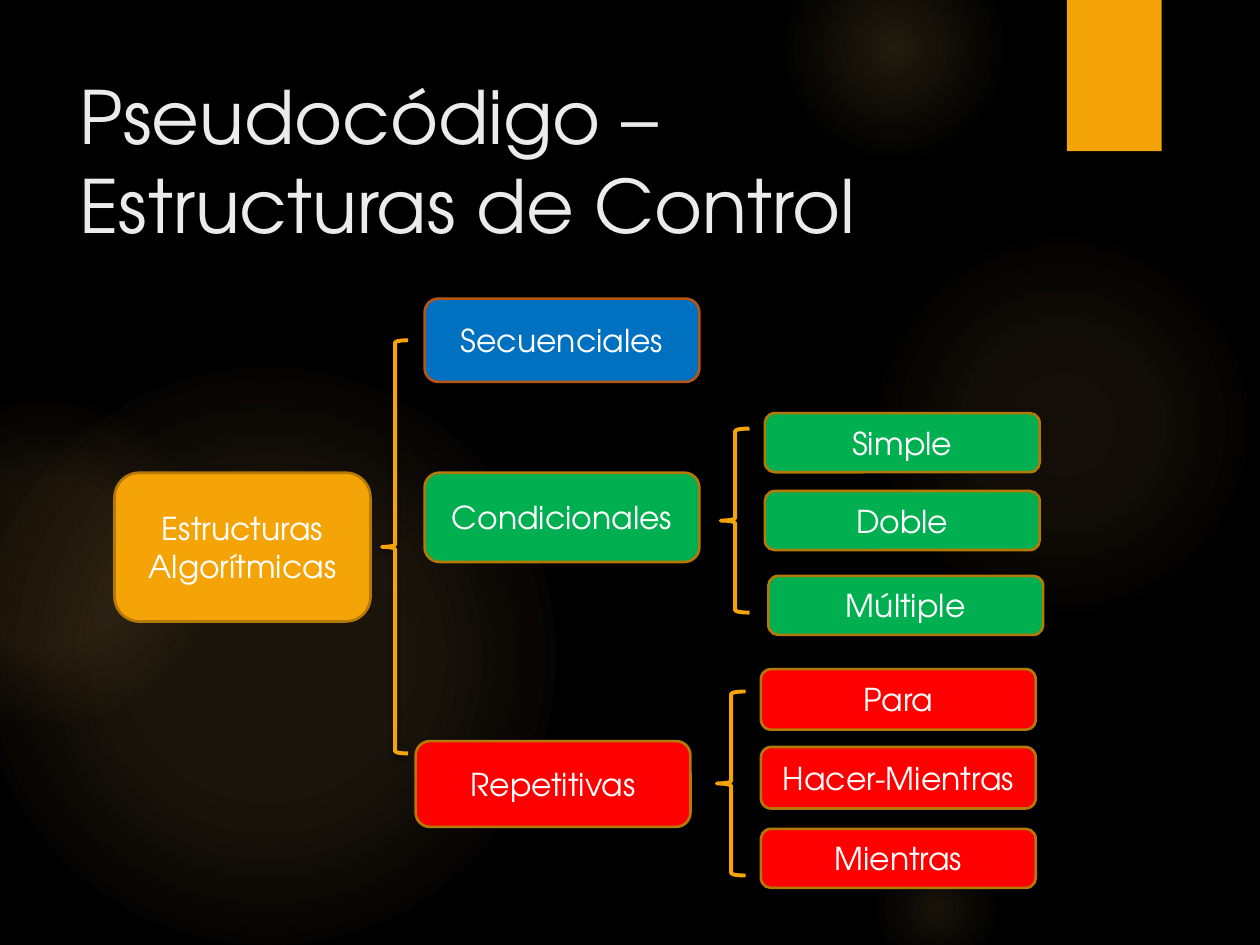
from dataclasses import dataclass

from lxml.etree import SubElement
from pptx import Presentation
from pptx.dml.color import RGBColor
from pptx.enum.shapes import MSO_SHAPE
from pptx.enum.text import MSO_ANCHOR, MSO_AUTO_SIZE, PP_ALIGN
from pptx.oxml import parse_xml
from pptx.oxml.ns import nsdecls, qn
from pptx.util import Cm, Pt


@dataclass(frozen=True)
class Theme:
    """Colours, font and type sizes of the slide."""
    font: str = "TeX Gyre Adventor"
    title_size: int = 42
    label_size: int = 18
    background: str = "000000"
    title: str = "EBEBEB"
    label: str = "FFFFFF"
    accent: str = "F5A408"
    glow: str = "FAC96A"
    outline: str = "B57906"
    sequence_outline: str = "B95513"
    sequence: str = "0070C0"
    condition: str = "00B050"
    loop: str = "FF0000"


@dataclass(frozen=True)
class Box:
    """A rectangle in centimetres."""
    left: float
    top: float
    width: float
    height: float

    def inside(self, left, top, width, height):
        """Return a box measured from this box's corner."""
        return Box(self.left + left, self.top + top, width, height)

    def lengths(self):
        """Return the position and size as lengths."""
        return Cm(self.left), Cm(self.top), Cm(self.width), Cm(self.height)


THEME = Theme()


def colour(value):
    """Return a colour from its hexadecimal text."""
    return RGBColor.from_string(value)


def add_plain_shape(slide, kind, box, fill=None, line=None, line_width=1.5):
    """Add a shape with the given fill and line and no shadow."""
    shape = slide.shapes.add_shape(kind, *box.lengths())
    shape.shadow.inherit = False
    if fill:
        shape.fill.solid()
        shape.fill.fore_color.rgb = colour(fill)
    else:
        shape.fill.background()
    if line:
        shape.line.color.rgb = colour(line)
        shape.line.width = Pt(line_width)
    else:
        shape.line.fill.background()
    return shape


def add_shadow(shape):
    """Give a shape a soft shadow below it."""
    effects = shape.element.spPr.find(qn("a:effectLst"))
    shadow = SubElement(effects, qn("a:outerShdw"), blurRad=str(Pt(3)),
                        dist=str(Pt(2)), dir="5400000", rotWithShape="0")
    shade = SubElement(shadow, qn("a:srgbClr"), val="000000")
    SubElement(shade, qn("a:alpha"), val="45000")


def add_glow(slide, box, stops):
    """Add a circle that fades out from its centre."""
    properties = add_plain_shape(slide, MSO_SHAPE.OVAL, box).element.spPr
    stop_xml = "".join(
        f'<a:gs pos="{position * 1000}"><a:srgbClr val="{THEME.glow}">'
        f'<a:alpha val="{alpha * 1000}"/></a:srgbClr></a:gs>'
        for position, alpha in stops)
    gradient = parse_xml(
        f'<a:gradFill {nsdecls("a")}><a:gsLst>{stop_xml}</a:gsLst>'
        '<a:path path="circle"><a:fillToRect l="50000" t="50000" '
        'r="50000" b="50000"/></a:path></a:gradFill>')
    properties.replace(properties.find(qn("a:noFill")), gradient)


def add_run(paragraph, text, size, font_colour):
    """Add a run in the theme font."""
    run = paragraph.add_run()
    run.text = text
    run.font.name = THEME.font
    run.font.size = Pt(size)
    run.font.color.rgb = colour(font_colour)


def draw_background(slide, box):
    """Draw the dark backdrop, its glows and the corner tab."""
    slide.background.fill.solid()
    slide.background.fill.fore_color.rgb = colour(THEME.background)
    glows = [
        (17.5, 4.65, 7.82, [(0, 7), (36, 6), (69, 0)]),
        (15.8, -1.27, 4.45, [(0, 14), (36, 7), (73, 0)]),
        (17.5, 16.94, 2.74, [(0, 10), (31, 5), (66, 0)]),
        (-0.43, 7.42, 11.63, [(0, 11), (36, 10), (75, 0)]),
        (-2.34, 8.05, 6.55, [(0, 8), (36, 8), (72, 0)]),
    ]
    for left, top, size, stops in glows:
        add_glow(slide, box.inside(left, top, size, size), stops)
    tab = add_plain_shape(slide, MSO_SHAPE.RECTANGLE,
                          box.inside(21.51, 0, 1.91, 3.05), THEME.accent)
    add_shadow(tab)


def draw_title(slide, box, text):
    """Place the title placeholder in front of the backdrop."""
    title = slide.shapes.title
    title.element.getparent().append(title.element)
    title.left, title.top, title.width, title.height = box.lengths()
    frame = title.text_frame
    frame.word_wrap = True
    frame.auto_size = MSO_AUTO_SIZE.NONE
    frame.vertical_anchor = MSO_ANCHOR.MIDDLE
    paragraph = frame.paragraphs[0]
    paragraph.alignment = PP_ALIGN.LEFT
    add_run(paragraph, text, THEME.title_size, THEME.title)


def draw_node(slide, box, text, fill, outline=THEME.outline):
    """Draw a rounded box with a centred label."""
    node = add_plain_shape(slide, MSO_SHAPE.ROUNDED_RECTANGLE, box, fill, outline)
    frame = node.text_frame
    frame.word_wrap = True
    frame.vertical_anchor = MSO_ANCHOR.MIDDLE
    paragraph = frame.paragraphs[0]
    paragraph.alignment = PP_ALIGN.CENTER
    add_run(paragraph, text, THEME.label_size, THEME.label)


def draw_brace(slide, box):
    """Draw a left brace."""
    brace = add_plain_shape(slide, MSO_SHAPE.LEFT_BRACE, box,
                            line=THEME.accent, line_width=2.25)
    add_shadow(brace)


def draw_diagram(slide, box):
    """Draw the tree of algorithmic structures."""
    draw_node(slide, box.inside(0, 3.51, 5.16, 3), "Estructuras Algorítmicas", THEME.accent)
    draw_node(slide, box.inside(6.25, 0, 5.54, 1.68), "Secuenciales",
              THEME.sequence, THEME.sequence_outline)
    nodes = [
        ("Condicionales", 6.25, 3.51, 1.8, THEME.condition),
        ("Repetitivas", 6.07, 8.92, 1.73, THEME.loop),
        ("Simple", 13.11, 2.31, 1.19, THEME.condition),
        ("Doble", 13.11, 3.88, 1.19, THEME.condition),
        ("Múltiple", 13.18, 5.59, 1.19, THEME.condition),
        ("Para", 13.03, 7.47, 1.22, THEME.loop),
        ("Hacer-Mientras", 13.03, 9.04, 1.24, THEME.loop),
        ("Mientras", 13.03, 10.69, 1.19, THEME.loop),
    ]
    for text, left, top, height, fill in nodes:
        draw_node(slide, box.inside(left, top, 5.54, height), text, fill)
    braces = [(5.39, 0.84, 0.53, 8.33), (12.22, 2.62, 0.58, 3.71), (12.14, 7.92, 0.58, 3.71)]
    for brace in braces:
        draw_brace(slide, box.inside(*brace))


def main():
    """Build and save the presentation."""
    presentation = Presentation()
    page = Box(0, 0, 25.4, 19.05)
    presentation.slide_width, presentation.slide_height = page.lengths()[2:]
    slide = presentation.slides.add_slide(presentation.slide_layouts[5])
    draw_background(slide, page)
    draw_title(slide, page.inside(1.35, 1.27, 19.61, 3.89),
               "Pseudocódigo – Estructuras de Control")
    draw_diagram(slide, page.inside(2.31, 6.02, 18.72, 11.88))
    presentation.save("out.pptx")


if __name__ == "__main__":
    main()
